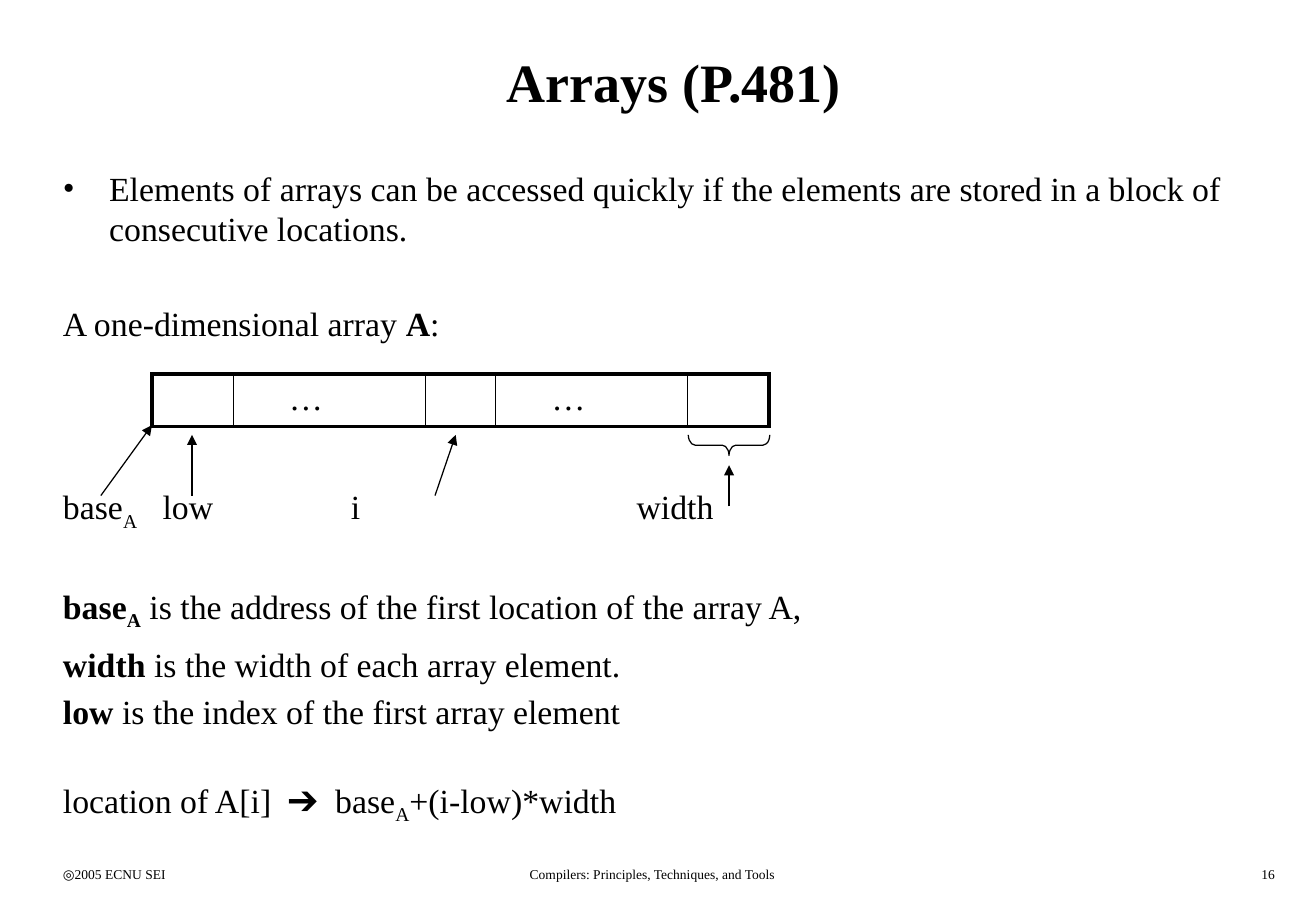
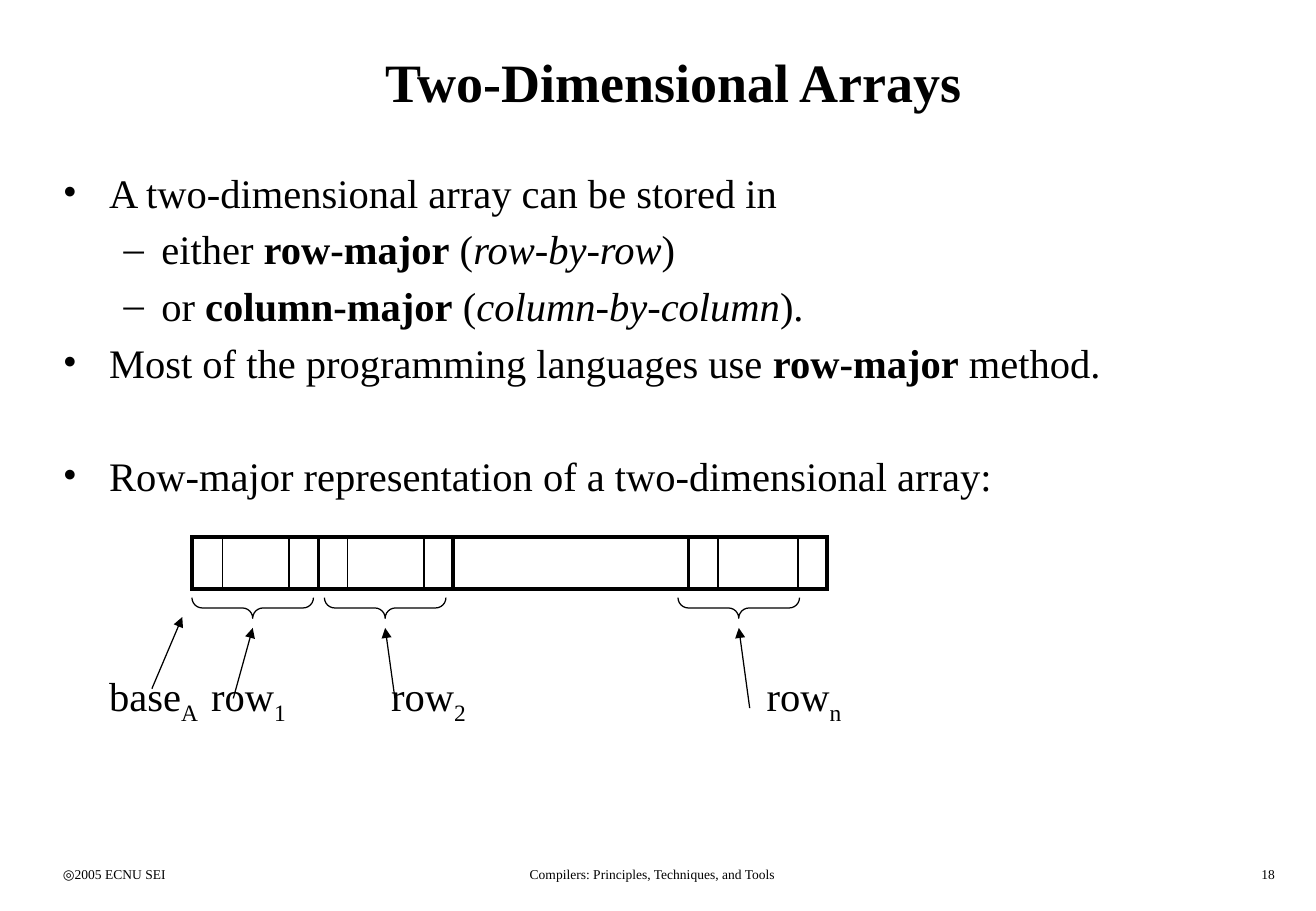
import lxml.etree
import pptx
import pptx.dml.color
import pptx.enum.shapes
import pptx.enum.text
import pptx.oxml.ns
import pptx.util

Inches = pptx.util.Inches
Pt = pptx.util.Pt
Align = pptx.enum.text.PP_ALIGN
qn = pptx.oxml.ns.qn

BLACK = pptx.dml.color.RGBColor(0, 0, 0)
FONT = "Times New Roman"
THIN, THICK = 1, 2.25


def add(node, tag, **attrs):
    child = lxml.etree.SubElement(node, qn(tag))
    for name, value in attrs.items():
        child.set(name, str(value))
    return child


class Deck:
    def __init__(self):
        self.prs = pptx.Presentation()
        self.prs.slide_width = Inches(10.83)
        self.prs.slide_height = Inches(7.5)

    def start(self, title, number):
        self.slide = self.prs.slides.add_slide(self.prs.slide_layouts[6])
        self.label(0.42, 7.08, 2.26, 0.25, "◎2005 ECNU SEI", 8, Align.LEFT)
        self.label(3.34, 7.08, 4.06, 0.25,
                   "Compilers: Principles, Techniques, and Tools", 8, Align.CENTER)
        self.label(8.33, 7.08, 2.26, 0.25, str(number), 8, Align.RIGHT)
        frame = self.label(0.42, 0.17, 10.25, 1, title, 32, Align.CENTER, "b")
        frame.vertical_anchor = pptx.enum.text.MSO_ANCHOR.MIDDLE

    def frame(self, left, top, width, height):
        box = self.slide.shapes.add_textbox(
            Inches(left), Inches(top), Inches(width), Inches(height))
        box.text_frame.word_wrap = True
        return box.text_frame

    def put(self, para, text, size, style=""):
        run = para.add_run()
        run.text = text
        font = run.font
        font.name = FONT
        font.size = Pt(size)
        font.color.rgb = BLACK
        font.bold = "b" in style
        font.italic = "i" in style
        if "s" in style:
            run._r.get_or_add_rPr().set("baseline", "-25000")

    def label(self, left, top, width, height, text, size, align, style=""):
        frame = self.frame(left, top, width, height)
        para = frame.paragraphs[0]
        para.alignment = align
        self.put(para, text, size, style)
        return frame

    def body(self, width, height, size, lines):
        frame = self.frame(0.42, 1.33, width, height)
        for index, (gap, bullet, tabs, runs) in enumerate(lines):
            para = frame.paragraphs[0] if index == 0 else frame.add_paragraph()
            para.line_spacing = Pt(1.2 * size)
            para.space_before = Pt(gap)
            props = para._p.get_or_add_pPr()
            if bullet:
                left, hang = (0.38, 0.38) if bullet == "•" else (0.81, 0.31)
                props.set("marL", str(Inches(left)))
                props.set("indent", str(-Inches(hang)))
                add(props, "a:buFont", typeface=FONT)
                add(props, "a:buChar", char=bullet)
            if tabs:
                stops = add(props, "a:tabLst")
                for stop in tabs:
                    add(stops, "a:tab", pos=Inches(stop), algn="l")
            for text, style in runs:
                self.put(para, text, size, style)

    def cells(self, left, top, widths, edges, texts):
        high = Inches(0.43)
        table = self.slide.shapes.add_table(
            1, len(widths), Inches(left), Inches(top), Inches(sum(widths)), high).table
        table.first_row = table.horz_banding = False
        table.rows[0].height = high
        for index, width in enumerate(widths):
            table.columns[index].width = Inches(width)
            cell = table.cell(0, index)
            props = cell._tc.get_or_add_tcPr()
            sides = (("L", edges[index]), ("R", edges[index + 1]),
                     ("T", THICK), ("B", THICK))
            for side, weight in sides:
                line = add(props, "a:ln" + side, w=Pt(weight))
                add(add(line, "a:solidFill"), "a:srgbClr", val=BLACK)
            cell.fill.background()
            if index in texts:
                cell.margin_left = Inches(0.46)
                self.put(cell.text_frame.paragraphs[0], texts[index], 20)

    def brace(self, mid, top, width, curve):
        thick = 0.17
        shape = self.slide.shapes.add_shape(
            pptx.enum.shapes.MSO_SHAPE.LEFT_BRACE,
            Inches(mid - thick / 2), Inches(top + (thick - width) / 2),
            Inches(thick), Inches(width))
        shape.rotation = 270
        shape.adjustments[0] = curve
        shape.shadow.inherit = False
        shape.fill.background()
        shape.line.color.rgb = BLACK
        shape.line.width = Pt(0.75)

    def arrow(self, *ends):
        link = self.slide.shapes.add_connector(
            pptx.enum.shapes.MSO_CONNECTOR.STRAIGHT, *map(Inches, ends))
        link.line.color.rgb = BLACK
        link.line.width = Pt(0.75)
        props = link._element.spPr
        add(props.find(qn("a:ln")), "a:tailEnd", type="triangle")
        add(props, "a:effectLst")


def arrays(deck):
    deck.start("Arrays (P.481)", 16)
    deck.body(9.83, 5.75, 20, [
        (0, "•", (), [("Elements of arrays can be accessed quickly if the elements "
                       "are stored in a block of consecutive locations.", "")]),
        (32, "", (), [("A one-dimensional array ", ""), ("A", "b"), (":", "")]),
        (88, "", (0.82, 2.37, 4.72),
         [("base", ""), ("A", "s"), ("\tlow\ti\twidth", "")]),
        (35, "", (), [("base", "b"), ("A", "bs"),
                      (" is the address of the first location of the array A,", "")]),
        (7, "", (), [("width", "b"), (" is the width of each array element.", "")]),
        (4, "", (), [("low", "b"), (" is the index of the first array element", "")]),
        (32, "", (1.85, 2.24), [("location of A[i]\t➔\tbase", ""), ("A", "s"),
                                ("+(i-low)*width", "")]),
    ])
    deck.cells(1.25, 3.08, [0.67, 1.58, 0.58, 1.58, 0.67],
               [THICK] + [THIN] * 4 + [THICK], {1: "…", 3: "…"})
    deck.brace(6, 3.58, 0.67, 0.33)
    deck.arrow(0.83, 4.08, 1.25, 3.5)
    deck.arrow(1.58, 4.08, 1.58, 3.58)
    deck.arrow(3.58, 4.08, 3.75, 3.58)
    deck.arrow(6, 4.17, 6, 3.83)


def matrix(deck):
    deck.start("Two-Dimensional Arrays", 18)
    deck.body(10, 5.58, 24, [
        (0, "•", (), [("A two-dimensional array can be stored in", "")]),
        (4.8, "–", (), [("either ", ""), ("row-major", "b"), (" (", ""),
                        ("row-by-row", "i"), (")", "")]),
        (4.8, "–", (), [("or", ""), (" column-major", "b"), (" (", ""),
                        ("column-by-column", "i"), (").", "")]),
        (4.8, "•", (), [("Most of the programming languages use ", ""),
                        ("row-major", "b"), (" method.", "")]),
        (38.4, "•", (),
         [("Row-major representation of a two-dimensional array:", "")]),
        (105.6, "", (0.38, 1.22, 2.7, 5.79),
         [("\tbase", ""), ("A", "s"), ("\trow", ""), ("1", "s"),
          ("\trow", ""), ("2", "s"), ("\trow", ""), ("n", "s")]),
    ])
    group = [THICK, THIN, THIN]
    deck.cells(1.58, 4.42,
               [0.25, 0.55, 0.23, 0.23, 0.63, 0.23, 1.94, 0.23, 0.66, 0.23],
               group * 2 + [THICK] + group + [THICK], {})
    for mid, foot, low in ((2.08, 1.92, 5.75), (3.17, 3.25, 5.75), (6.08, 6.17, 5.83)):
        deck.brace(mid, 4.92, 1, 0.5)
        deck.arrow(foot, low, mid, 5.17)
    deck.arrow(1.25, 5.67, 1.5, 5.08)


def main():
    deck = Deck()
    arrays(deck)
    matrix(deck)
    deck.prs.save("out.pptx")


if __name__ == "__main__":
    main()
